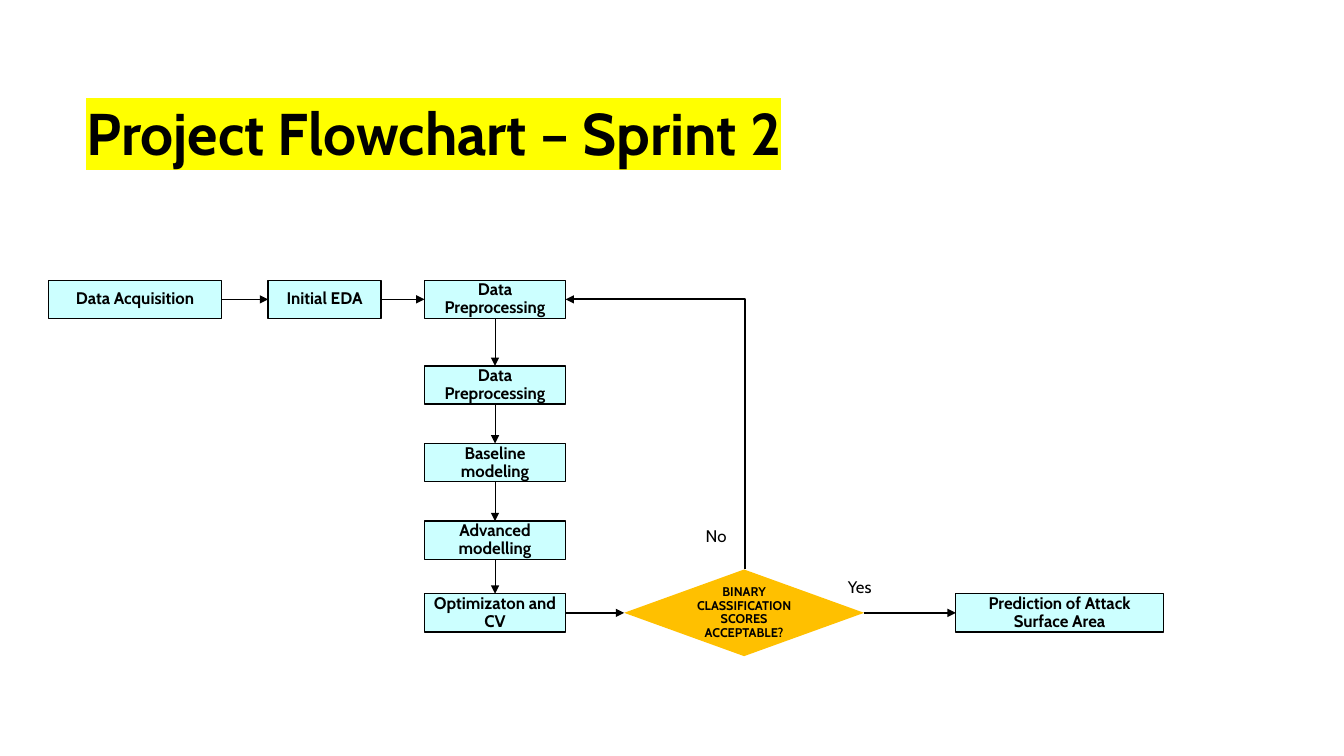
from dataclasses import dataclass

from lxml.etree import SubElement
from pptx import Presentation
from pptx.dml.color import RGBColor
from pptx.enum.shapes import MSO_CONNECTOR, MSO_SHAPE
from pptx.enum.text import MSO_ANCHOR, PP_ALIGN
from pptx.oxml.ns import qn
from pptx.shapes.autoshape import Shape
from pptx.shapes.connector import Connector
from pptx.slide import Slide
from pptx.text.text import TextFrame
from pptx.util import Inches, Pt

BLACK = RGBColor(0x00, 0x00, 0x00)
PALE_CYAN = RGBColor(0xCC, 0xFF, 0xFF)
AMBER = RGBColor(0xFF, 0xC0, 0x00)
YELLOW = RGBColor(0xFF, 0xFF, 0x00)
FONT_NAME = "Cabin"

TOP, LEFT, BOTTOM, RIGHT = range(4)
THIN, THICK = 0.5, 1.5
STEP_HEIGHT = 0.38
COLUMN_LEFT, COLUMN_WIDTH = 4.21, 1.4
FIRST_ROW, LAST_ROW = 2.78, 5.89


@dataclass(frozen=True)
class Step:
    key: str
    text: str
    top: float
    left: float = COLUMN_LEFT
    width: float = COLUMN_WIDTH


@dataclass(frozen=True)
class Arrow:
    source: str
    source_side: int
    target: str
    target_side: int
    weight: float


@dataclass(frozen=True)
class Label:
    text: str
    left: float
    top: float


STEPS = [
    Step("acquisition", "Data Acquisition", FIRST_ROW, 0.48, 1.72),
    Step("exploration", "Initial EDA", FIRST_ROW, 2.66, 1.12),
    Step("preprocessing", "Data Preprocessing", FIRST_ROW),
    Step("second preprocessing", "Data Preprocessing", 3.63),
    Step("baseline", "Baseline modeling", 4.4),
    Step("advanced", "Advanced modelling", 5.17),
    Step("optimization", "Optimizaton and CV", LAST_ROW),
    Step("prediction", "Prediction of Attack Surface Area", LAST_ROW, 9.48, 2.06),
]
COLUMN_KEYS = [step.key for step in STEPS if step.left == COLUMN_LEFT]
ARROWS = [
    Arrow("acquisition", RIGHT, "exploration", LEFT, THIN),
    Arrow("exploration", RIGHT, "preprocessing", LEFT, THIN),
    *(Arrow(source, BOTTOM, target, TOP, THIN)
      for source, target in zip(COLUMN_KEYS, COLUMN_KEYS[1:])),
    Arrow("optimization", RIGHT, "decision", LEFT, THICK),
    Arrow("decision", RIGHT, "prediction", LEFT, THICK),
]
RETRY = Arrow("decision", TOP, "preprocessing", RIGHT, THICK)
LABELS = [Label("No", 7, 5.22), Label("Yes", 8.41, 5.72)]


def set_margins(frame: TextFrame, margin: float) -> None:
    frame.margin_left = frame.margin_right = Inches(margin)
    frame.margin_top = frame.margin_bottom = Inches(margin)


def write(frame: TextFrame, text: str, size: float, bold: bool = True,
          highlight: RGBColor | None = None) -> None:
    frame.word_wrap = True
    run = frame.paragraphs[0].add_run()
    run.text = text
    run.font.size = Pt(size)
    run.font.bold = bold
    run.font.color.rgb = BLACK
    if highlight is not None:
        mark = SubElement(run.font._element, qn("a:highlight"))
        SubElement(mark, qn("a:srgbClr")).set("val", str(highlight))
    run.font.name = FONT_NAME


def add_title(slide: Slide) -> None:
    box = slide.shapes.add_textbox(Inches(0.76), Inches(0.79), Inches(11.16), Inches(1.12))
    frame = box.text_frame
    frame.vertical_anchor = MSO_ANCHOR.MIDDLE
    frame.paragraphs[0].line_spacing = 0.9
    write(frame, "Project Flowchart – Sprint 2", 42, highlight=YELLOW)


def add_node(slide: Slide, kind: MSO_SHAPE, left: float, top: float, width: float,
             height: float, fill: RGBColor, text: str, size: float) -> Shape:
    shape = slide.shapes.add_shape(kind, Inches(left), Inches(top),
                                   Inches(width), Inches(height))
    shape.shadow.inherit = False
    shape.fill.solid()
    shape.fill.fore_color.rgb = fill
    frame = shape.text_frame
    set_margins(frame, 0.08)
    frame.vertical_anchor = MSO_ANCHOR.MIDDLE
    paragraph = frame.paragraphs[0]
    paragraph.alignment = PP_ALIGN.CENTER
    paragraph.line_spacing = 0.9
    paragraph.space_after = Pt(6)
    write(frame, text, size)
    return shape


def add_step(slide: Slide, step: Step) -> Shape:
    shape = add_node(slide, MSO_SHAPE.RECTANGLE, step.left, step.top, step.width,
                     STEP_HEIGHT, PALE_CYAN, step.text, 12)
    shape.line.color.rgb = BLACK
    shape.line.width = Pt(1)
    return shape


def add_decision(slide: Slide) -> Shape:
    shape = add_node(slide, MSO_SHAPE.FLOWCHART_DECISION, 6.19, 5.65, 2.38, 0.86,
                     AMBER, "BINARY CLASSIFICATION SCORES ACCEPTABLE?", 9)
    shape.line.fill.background()
    return shape


def add_arrow(slide: Slide, nodes: dict[str, Shape], arrow: Arrow,
              kind: MSO_CONNECTOR = MSO_CONNECTOR.STRAIGHT) -> Connector:
    connector = slide.shapes.add_connector(kind, 0, 0, 0, 0)
    connector.begin_connect(nodes[arrow.source], arrow.source_side)
    connector.end_connect(nodes[arrow.target], arrow.target_side)
    connector.line.color.rgb = BLACK
    connector.line.width = Pt(arrow.weight)
    properties = connector._element.spPr
    SubElement(properties.find(qn("a:ln")), qn("a:tailEnd")).set("type", "triangle")
    SubElement(properties, qn("a:effectLst"))
    return connector


def add_retry_arrow(slide: Slide, nodes: dict[str, Shape]) -> None:
    connector = add_arrow(slide, nodes, RETRY, MSO_CONNECTOR.ELBOW)
    connector.left, connector.top = Inches(5.16), Inches(3.42)
    connector.width, connector.height = Inches(2.68), Inches(1.78)
    properties = connector._element.spPr
    transform = properties.find(qn("a:xfrm"))
    for name, value in (("rot", "16200000"), ("flipH", "0"), ("flipV", "1")):
        transform.set(name, value)
    properties.find(qn("a:prstGeom")).set("prst", "bentConnector2")


def add_label(slide: Slide, label: Label) -> None:
    box = slide.shapes.add_textbox(Inches(label.left), Inches(label.top),
                                   Inches(0.66), Inches(0.21))
    set_margins(box.text_frame, 0)
    write(box.text_frame, label.text, 12, bold=False)


def main() -> None:
    presentation = Presentation()
    presentation.slide_width = Inches(13.33)
    presentation.slide_height = Inches(7.5)
    slide = presentation.slides.add_slide(presentation.slide_layouts[6])
    add_title(slide)
    nodes = {step.key: add_step(slide, step) for step in STEPS}
    nodes["decision"] = add_decision(slide)
    for arrow in ARROWS:
        add_arrow(slide, nodes, arrow)
    add_retry_arrow(slide, nodes)
    for label in LABELS:
        add_label(slide, label)
    presentation.save("out.pptx")


if __name__ == "__main__":
    main()
